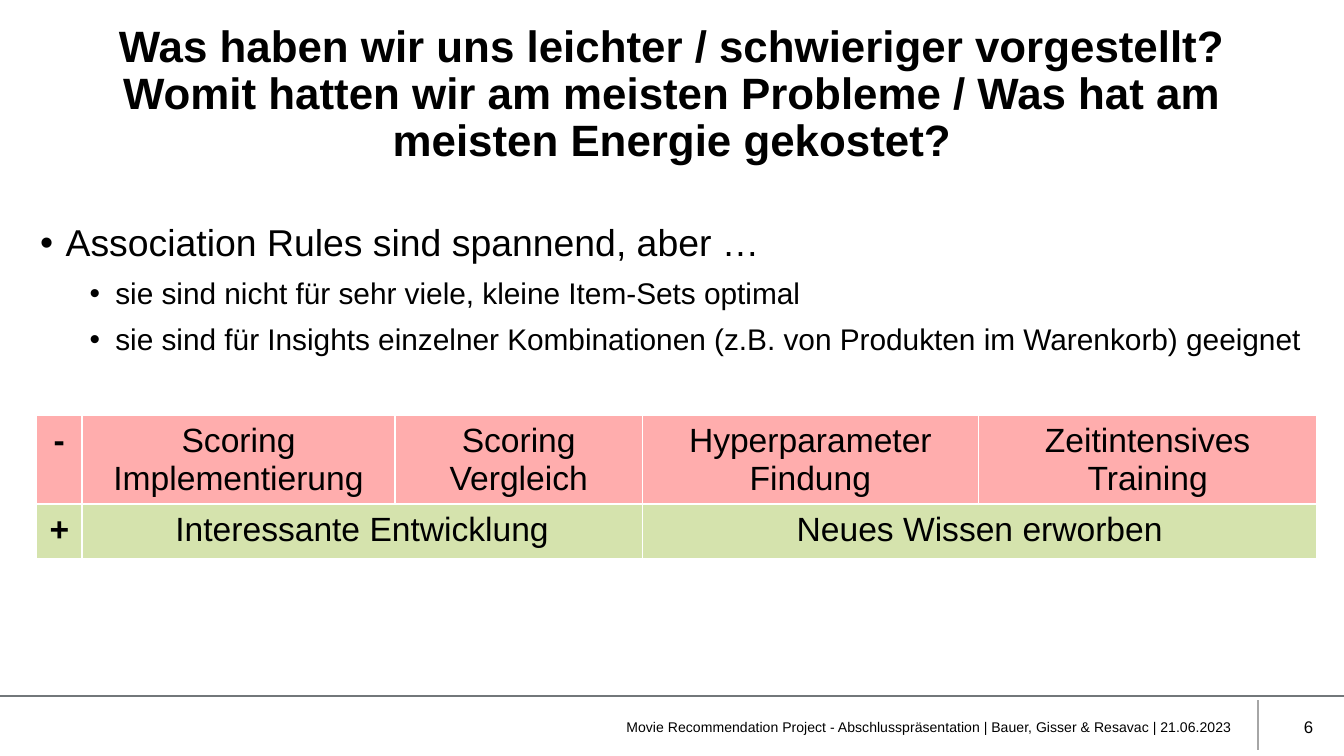
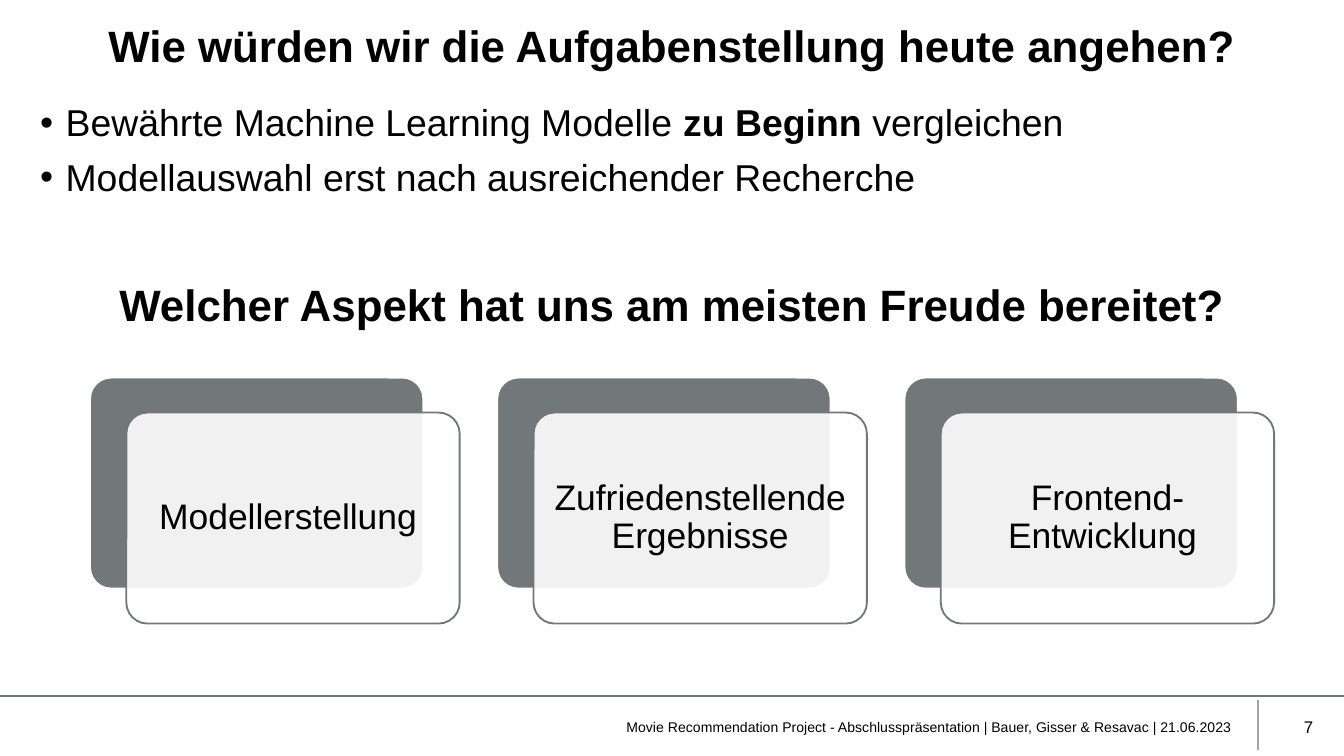
from lxml import etree
from pptx import Presentation
from pptx.dml.color import RGBColor
from pptx.enum.shapes import MSO_CONNECTOR, MSO_SHAPE
from pptx.enum.text import MSO_ANCHOR, MSO_AUTO_SIZE, PP_ALIGN
from pptx.oxml.ns import qn
from pptx.util import Inches, Pt

STRAIGHT = MSO_CONNECTOR.STRAIGHT
ROUNDED = MSO_SHAPE.ROUNDED_RECTANGLE
TOP, MIDDLE = MSO_ANCHOR.TOP, MSO_ANCHOR.MIDDLE
LEFT, CENTER, RIGHT = PP_ALIGN.LEFT, PP_ALIGN.CENTER, PP_ALIGN.RIGHT
NO_AUTOFIT = MSO_AUTO_SIZE.NONE


class Theme:
    font = "Arial"
    black = RGBColor(0x00, 0x00, 0x00)
    white = RGBColor(0xFF, 0xFF, 0xFF)
    slate = RGBColor(0x72, 0x77, 0x7A)
    silver = RGBColor(0xA6, 0xA6, 0xA6)
    red = RGBColor(0xFF, 0xAD, 0xAD)
    green = RGBColor(0xD5, 0xE3, 0xAD)
    heading = 23.5
    bullets = (20, 16)
    table = 18
    card = 19
    footer = 7.5
    number = 9
    line_spacing = 0.9
    gap = Pt(3.8)


def write(para, runs, size, align=CENTER):
    """Fill a paragraph with (text, bold) runs; a newline becomes a line break."""
    para.alignment = align
    for text, bold in runs:
        for index, line in enumerate(text.split("\n")):
            if index:
                para.add_line_break()
            span = para.add_run()
            span.text = line
            span.font.name = Theme.font
            span.font.size = Pt(size)
            span.font.bold = bold
            span.font.color.rgb = Theme.black


def add_text_frame(page, left, top, width, height, anchor=TOP):
    box = page.shapes.add_textbox(Inches(left), Inches(top), Inches(width), Inches(height))
    frame = box.text_frame
    frame.word_wrap = True
    frame.vertical_anchor = anchor
    return frame


# Per slide: number, title, title height, bullets top, bullets height, bullets (level, runs)
PAGES = [
    (6, "Was haben wir uns leichter / schwieriger vorgestellt?\n"
        "Womit hatten wir am meisten Probleme / Was hat am meisten Energie gekostet?",
     1.19, 1.62, 1.47, [
         (0, [("Association Rules sind spannend, aber …", False)]),
         (1, [("sie sind nicht für sehr viele, kleine Item-Sets optimal", False)]),
         (1, [("sie sind für Insights einzelner Kombinationen "
               "(z.B. von Produkten im Warenkorb) geeignet", False)]),
     ]),
    (7, "Wie würden wir die Aufgabenstellung heute angehen?",
     0.51, 0.73, 0.94, [
         (0, [("Bewährte Machine Learning Modelle ", False), ("zu Beginn ", True),
              ("vergleichen", False)]),
         (0, [("Modellauswahl erst nach ausreichender Recherche", False)]),
     ]),
]
FOOTER = ("Movie Recommendation Project - Abschlusspräsentation"
          " | Bauer, Gisser & Resavac | 21.06.2023")
RULES = [((9.36, 5.21, 9.36, 5.58), Theme.silver), ((0, 5.18, 10, 5.18), Theme.slate)]
INDENTS = (0.19, 0.56)
HANGING = 0.19

deck = Presentation()
deck.slide_width = Inches(10)
deck.slide_height = deck.slide_width * 9 // 16
title_only = deck.slide_layouts[5]

# Shared parts: rules, title, bullets, footer
pages = []
for number, heading, title_height, body_top, body_height, bullets in PAGES:
    page = deck.slides.add_slide(title_only)
    pages.append(page)

    for ends, colour in RULES:
        rule = page.shapes.add_connector(STRAIGHT, *map(Inches, ends))
        rule.line.color.rgb = colour
        rule.line.width = Pt(1)
        etree.SubElement(rule._element.spPr, qn("a:effectLst"))

    title = page.shapes.title
    title.left, title.top = Inches(0.2), Inches(0.13)
    title.width, title.height = Inches(9.6), Inches(title_height)
    title.text_frame.auto_size = NO_AUTOFIT
    title.text_frame.vertical_anchor = TOP
    para = title.text_frame.paragraphs[0]
    para.line_spacing = Theme.line_spacing
    write(para, [(heading, True)], Theme.heading)

    frame = add_text_frame(page, 0.2, body_top, 9.6, body_height)
    for index, (level, runs) in enumerate(bullets):
        para = frame.add_paragraph() if index else frame.paragraphs[0]
        para.level = level
        para.line_spacing = Theme.line_spacing
        para.space_before = para.space_after = Theme.gap
        write(para, runs, Theme.bullets[level], LEFT)
        properties = para._p.get_or_add_pPr()
        properties.set("marL", str(Inches(INDENTS[level])))
        properties.set("indent", str(-Inches(HANGING)))
        etree.SubElement(properties, qn("a:buFont"), typeface=Theme.font)
        etree.SubElement(properties, qn("a:buChar"), char="•")

    for left, width, text, size in [(3.05, 6.21, FOOTER, Theme.footer),
                                    (9.34, 0.53, str(number), Theme.number)]:
        frame = add_text_frame(page, left, 5.26, width, 0.3, MIDDLE)
        write(frame.paragraphs[0], [(text, False)], size, RIGHT)

problems_page, joys_page = pages

# Table of drawbacks and gains
COLUMNS = [0.34, 2.33, 1.84, 2.5, 2.52]
ROWS = [
    (Theme.red, ["-", "Scoring Implementierung", "Scoring Vergleich",
                 "Hyperparameter Findung", "Zeitintensives Training"]),
    (Theme.green, ["+", "Interessante Entwicklung", "", "Neues Wissen erworben", ""]),
]
table = problems_page.shapes.add_table(
    len(ROWS), len(COLUMNS), Inches(0.27), Inches(3.09), Inches(9.52), Inches(0.82)).table
table.first_row = table.horz_banding = False
for column, width in zip(table.columns, COLUMNS):
    column.width = Inches(width)
for first in (1, 3):
    table.cell(1, first).merge(table.cell(1, first + 1))
for row, (colour, texts) in enumerate(ROWS):
    table.rows[row].height = Inches(0.41)
    for column, text in enumerate(texts):
        cell = table.cell(row, column)
        cell.margin_bottom = Inches(0.01)
        cell.fill.solid()
        cell.fill.fore_color.rgb = colour
        if text:
            write(cell.text_frame.paragraphs[0], [(text, column == 0)], Theme.table)
        properties = cell._tc.get_or_add_tcPr()
        for position, side in enumerate(("lnL", "lnR", "lnT", "lnB")):
            border = etree.Element(qn(f"a:{side}"), w=str(Pt(1)))
            paint = etree.SubElement(border, qn("a:solidFill"))
            etree.SubElement(paint, qn("a:srgbClr"), val=str(Theme.white))
            properties.insert(position, border)

# Second heading and the three layered cards
frame = add_text_frame(joys_page, 0.2, 2.06, 9.6, 0.6)
para = frame.paragraphs[0]
para.line_spacing = Theme.line_spacing
para.space_before = para.space_after = Theme.gap
write(para, [("Welcher Aspekt hat uns am meisten Freude bereitet?", True)], Theme.heading)

JOYS = ["Modellerstellung ", "Zufriedenstellende Ergebnisse", "Frontend-Entwicklung "]
CARD_PITCH = 3.03
for index, joy in enumerate(JOYS):
    left = 0.67 + index * CARD_PITCH
    for x, y, fill, line in [(left, 2.81, Theme.slate, Theme.white),
                             (left + 0.27, 3.07, Theme.white, Theme.slate)]:
        card = joys_page.shapes.add_shape(
            ROUNDED, Inches(x), Inches(y), Inches(2.48), Inches(1.57))
        card.adjustments[0] = 0.1
        card.shadow.inherit = False
        card.fill.solid()
        card.fill.fore_color.rgb = fill
        card.line.color.rgb = line
        card.line.width = Pt(1)

    # The front card is the last one drawn
    colour = card._element.spPr.find(qn("a:solidFill")).find(qn("a:srgbClr"))
    etree.SubElement(colour, qn("a:alpha"), val="90000")
    frame = card.text_frame
    frame.word_wrap = True
    frame.vertical_anchor = MIDDLE
    frame.margin_left = frame.margin_right = Inches(0.08)
    frame.margin_top = frame.margin_bottom = Inches(0.08)
    para = frame.paragraphs[0]
    para.line_spacing = Theme.line_spacing
    write(para, [(joy, False)], Theme.card)

deck.save("out.pptx")
